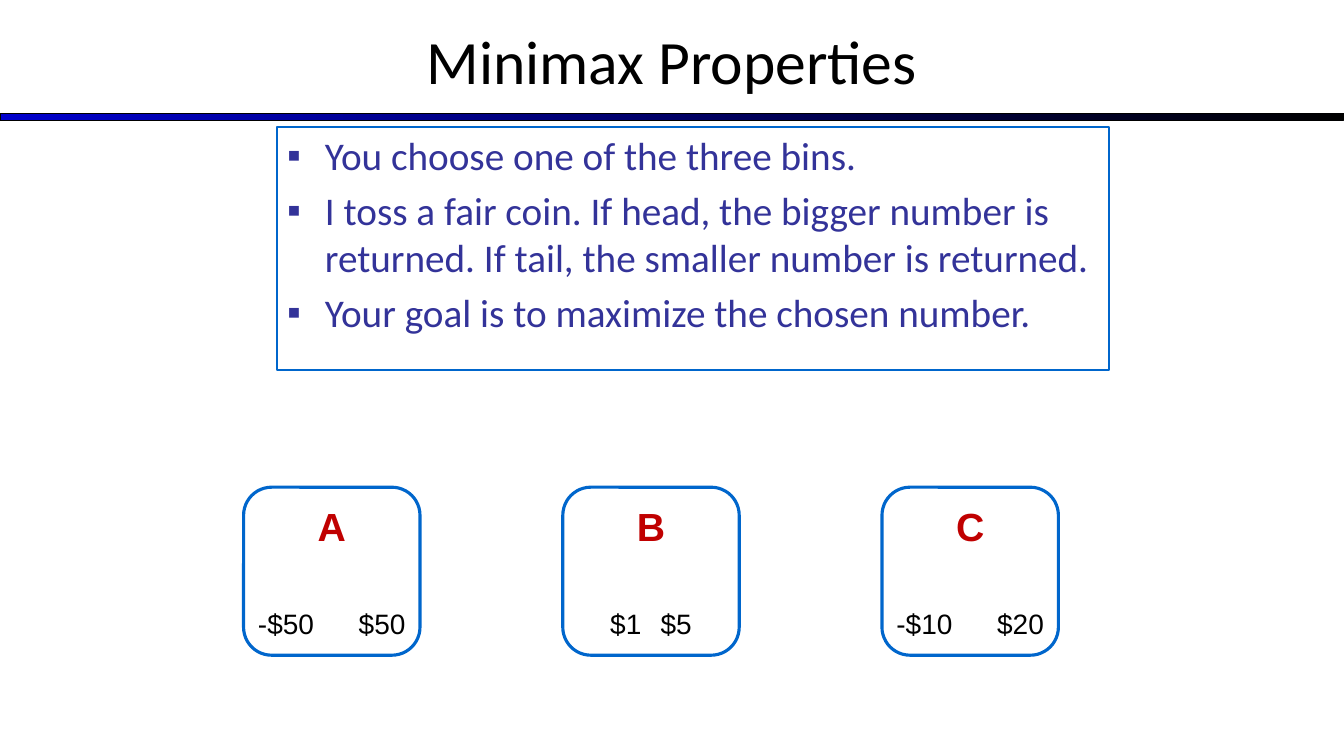
from lxml.etree import SubElement
from pptx import Presentation
from pptx.dml.color import RGBColor
from pptx.enum.shapes import MSO_SHAPE as Preset
from pptx.enum.text import MSO_ANCHOR as Anchor, PP_ALIGN as Align
from pptx.oxml.ns import qn
from pptx.util import Pt

BLACK = RGBColor(0x00, 0x00, 0x00)
WHITE = RGBColor(0xFF, 0xFF, 0xFF)
BAR_BLUE = RGBColor(0x00, 0x00, 0xCC)
OUTLINE_BLUE = RGBColor(0x00, 0x66, 0xCC)
TEXT_BLUE = RGBColor(0x33, 0x33, 0x99)
RED = RGBColor(0xC0, 0x00, 0x00)

TITLE_FONT = {"name": "Calibri", "size": Pt(44), "bold": False}
RULE_FONT = {"name": "Calibri", "size": Pt(28), "bold": False}
LETTER_FONT = {"name": "Arial", "size": Pt(28), "bold": True}
VALUE_FONT = {"name": "Arial", "size": Pt(20), "bold": False}


def add_outlined(preset, left, top, width, height, color, weight):
    shape = slide.shapes.add_shape(preset, Pt(left), Pt(top), Pt(width), Pt(height))
    shape.shadow.inherit = False
    shape.line.color.rgb = color
    shape.line.width = Pt(weight)
    return shape


def write(paragraph, text, font, color, align):
    paragraph.text = text
    paragraph.alignment = align
    for name, value in font.items():
        setattr(paragraph.runs[0].font, name, value)
    paragraph.runs[0].font.color.rgb = color


presentation = Presentation()
presentation.slide_width = Pt(960)
presentation.slide_height = Pt(540)
slide = presentation.slides.add_slide(presentation.slide_layouts[6])

# Title and the bar under it
bar = add_outlined(Preset.RECTANGLE, 0, 81, 960, 5, BLACK, 0.75)
bar.fill.gradient()
bar.fill.gradient_angle = 0
for stop, color in zip(bar.fill.gradient_stops, (BAR_BLUE, BLACK)):
    stop.color.rgb = color

title = slide.shapes.add_textbox(Pt(0), Pt(-2), Pt(960), Pt(90)).text_frame
title.word_wrap = True
title.vertical_anchor = Anchor.MIDDLE
write(title.paragraphs[0], "Minimax Properties", TITLE_FONT, BLACK, Align.CENTER)

# Rules of the game
rules = [
    "You choose one of the three bins.",
    "I toss a fair coin. If head, the bigger number is returned. "
    "If tail, the smaller number is returned.",
    "Your goal is to maximize the chosen number.",
]
rules_box = add_outlined(Preset.RECTANGLE, 198, 90.5, 594, 174, OUTLINE_BLUE, 1.5)
rules_box.fill.background()
frame = rules_box.text_frame
frame.word_wrap = True
frame.vertical_anchor = Anchor.TOP
for index, rule in enumerate(rules):
    paragraph = frame.add_paragraph() if index else frame.paragraphs[0]
    properties = paragraph._p.get_or_add_pPr()
    properties.set("marL", str(Pt(27)))
    properties.set("indent", str(Pt(-27)))
    SubElement(properties, qn("a:buFont"), typeface="Arial")
    SubElement(properties, qn("a:buChar"), char="▪")
    write(paragraph, rule, RULE_FONT, TEXT_BLUE, Align.LEFT)
    if index:
        paragraph.space_before = Pt(5.6)

# Bins, each with its smaller and bigger number
bins = [("A", "-$50", "$50"), ("B", "$1", "$5"), ("C", "-$10", "$20")]
for index, (letter, smaller, bigger) in enumerate(bins):
    bin_box = add_outlined(
        Preset.ROUNDED_RECTANGLE, 174 + 228 * index, 348, 126, 120, OUTLINE_BLUE, 2.25
    )
    bin_box.fill.solid()
    bin_box.fill.fore_color.rgb = WHITE
    frame = bin_box.text_frame
    frame.word_wrap = True
    frame.vertical_anchor = Anchor.MIDDLE
    for side in ("left", "top", "right", "bottom"):
        setattr(frame, f"margin_{side}", Pt(0))
    write(frame.paragraphs[0], letter, LETTER_FONT, RED, Align.CENTER)
    values = frame.add_paragraph()
    write(values, f"{smaller}\t{bigger}", VALUE_FONT, BLACK, Align.CENTER)
    values.space_before = Pt(41.4)

presentation.save("out.pptx")
